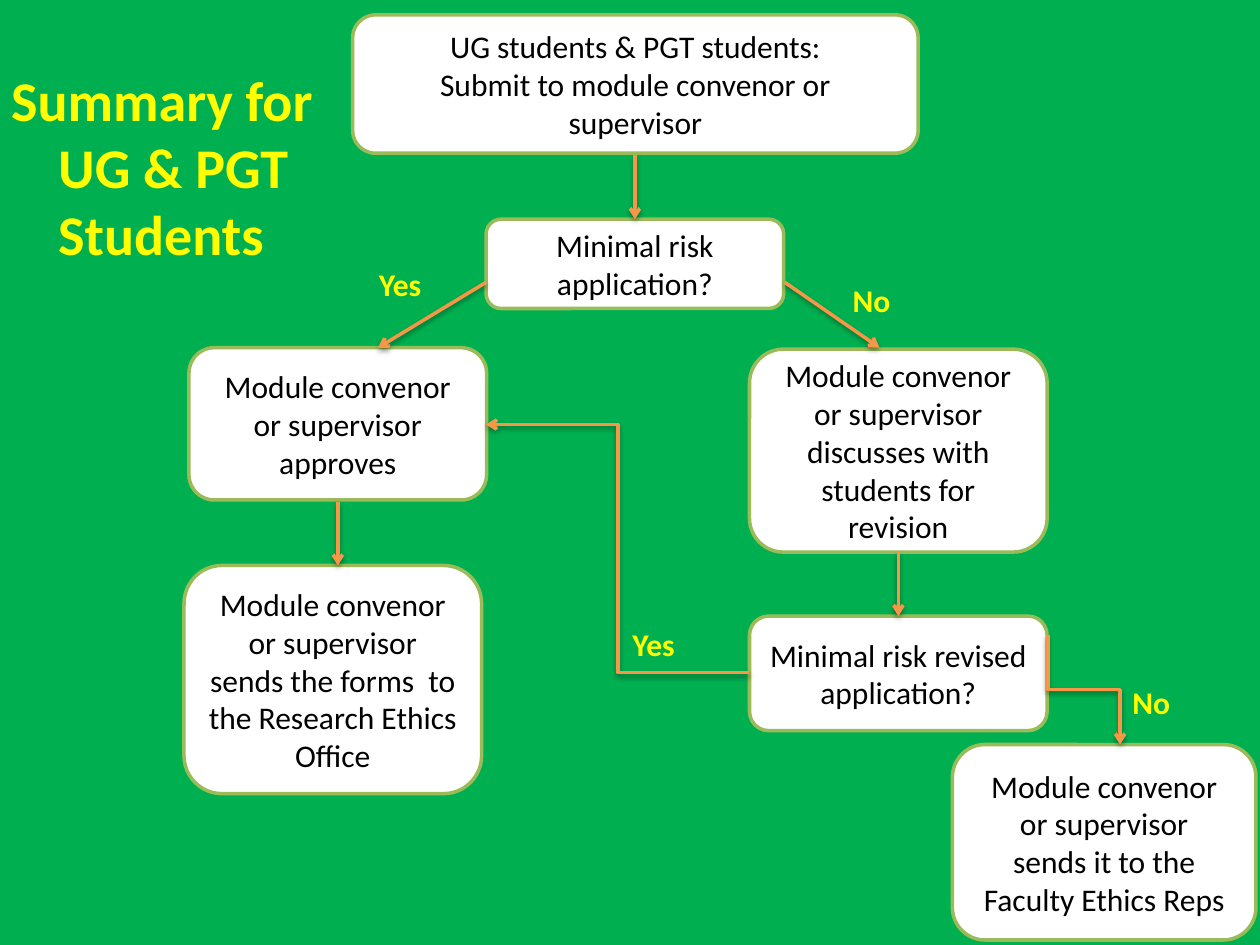
"""Build the ethics approval flowchart for UG and PGT students."""
from typing import NamedTuple

from lxml.etree import SubElement
from pptx import Presentation
from pptx.dml.color import RGBColor
from pptx.enum.shapes import MSO_CONNECTOR, MSO_SHAPE
from pptx.enum.text import MSO_ANCHOR, MSO_AUTO_SIZE, PP_ALIGN
from pptx.oxml.ns import qn
from pptx.util import Cm, Pt

GREEN = RGBColor(0x00, 0xB0, 0x50)
OLIVE = RGBColor(0x9B, 0xBB, 0x59)
ORANGE = RGBColor(0xF7, 0x96, 0x46)
YELLOW = RGBColor(0xFF, 0xFF, 0x00)
WHITE = RGBColor(0xFF, 0xFF, 0xFF)
BLACK = RGBColor(0x00, 0x00, 0x00)
FONT = "Calibri"
BOX_WIDTH = 6
LINE_WIDTH = Pt(2)


class Step(NamedTuple):
    text: str
    left: float
    top: float
    height: float
    width: float = BOX_WIDTH


class Arrow(NamedTuple):
    start: tuple[float, float]
    end: tuple[float, float]
    kind: MSO_CONNECTOR = MSO_CONNECTOR.STRAIGHT
    rotation: int = 0


class Answer(NamedTuple):
    text: str
    left: float
    top: float


STEPS = [
    Step("UG students & PGT students:\nSubmit to module convenor or supervisor", 7.11, 0.3, 2.79, 11.4),
    Step("Minimal risk application?", 9.8, 4.42, 1.8),
    Step("Module convenor or supervisor\nsends the forms  to the Research Ethics Office", 3.71, 11.4, 4.6),
    Step("Module convenor or supervisor approves", 3.81, 7.01, 3.07),
    Step("Module convenor or supervisor discusses with students for revision", 15.11, 7.04, 4.09),
    Step("Minimal risk revised application?", 15.11, 12.42, 2.31),
    Step("Module convenor or supervisor\nsends it to the Faculty Ethics Reps", 19.2, 15.01, 3.94, 6.12),
]
ARROWS = [
    Arrow((12.8, 3.12), (12.8, 4.42)),
    Arrow((9.8, 5.69), (7.62, 7.01)),
    Arrow((15.82, 5.69), (17.73, 7.01)),
    Arrow((6.81, 10.11), (6.81, 11.4)),
    Arrow((18.11, 11.13), (18.11, 12.42)),
    Arrow((15.11, 13.56), (9.8, 8.56), MSO_CONNECTOR.ELBOW),
    Arrow((22.96, 13.18), (20.75, 14.63), MSO_CONNECTOR.ELBOW, 270),
]
ANSWERS = [
    Answer("Yes", 7.39, 5.21),
    Answer("No", 22.58, 13.64),
    Answer("Yes", 12.5, 12.47),
    Answer("No", 16.94, 5.54),
]


def write_text(shape, text: str, size: int, color: RGBColor, bold: bool, alignment: PP_ALIGN) -> None:
    """Fill a shape with wrapped text in one style."""
    frame = shape.text_frame
    frame.text = text
    frame.word_wrap = True
    for paragraph in frame.paragraphs:
        paragraph.alignment = alignment
        for run in paragraph.runs:
            run.font.name = FONT
            run.font.size = Pt(size)
            run.font.bold = bold
            run.font.color.rgb = color


def add_title(slide) -> None:
    """Place the heading with its hanging indent."""
    title = slide.shapes.title
    title.left, title.top, title.width, title.height = Cm(-0.03), Cm(1.19), Cm(6.99), Cm(4.37)
    write_text(title, "Summary for \vUG & PGT Students", 32, YELLOW, True, PP_ALIGN.LEFT)
    title.text_frame.vertical_anchor = MSO_ANCHOR.TOP
    title.text_frame.auto_size = MSO_AUTO_SIZE.NONE
    properties = title.text_frame.paragraphs[0]._p.get_or_add_pPr()
    properties.set("marL", str(Cm(0.95)))
    properties.set("indent", str(Cm(-0.95)))


def add_step(slide, step: Step) -> None:
    """Draw one rounded box of the flowchart."""
    shape = slide.shapes.add_shape(
        MSO_SHAPE.ROUNDED_RECTANGLE, Cm(step.left), Cm(step.top), Cm(step.width), Cm(step.height)
    )
    shape.shadow.inherit = False
    shape.fill.solid()
    shape.fill.fore_color.rgb = WHITE
    shape.line.color.rgb = OLIVE
    shape.line.width = LINE_WIDTH
    write_text(shape, step.text, 18, BLACK, False, PP_ALIGN.CENTER)
    shape.text_frame.vertical_anchor = MSO_ANCHOR.MIDDLE


def add_arrow(slide, arrow: Arrow) -> None:
    """Draw one arrow with a soft shadow below it."""
    points = [Cm(value) for value in (*arrow.start, *arrow.end)]
    connector = slide.shapes.add_connector(arrow.kind, *points)
    connector.line.color.rgb = ORANGE
    connector.line.width = LINE_WIDTH
    properties = connector._element.spPr
    if arrow.rotation:
        properties.find(qn("a:xfrm")).set("rot", str(arrow.rotation * 60000))
    SubElement(properties.find(qn("a:ln")), qn("a:tailEnd"), type="arrow")
    effects = SubElement(properties, qn("a:effectLst"))
    shadow = SubElement(
        effects, qn("a:outerShdw"), blurRad=str(Pt(3.1)), dist=str(Pt(1.6)), dir="5400000", rotWithShape="0"
    )
    color = SubElement(shadow, qn("a:srgbClr"), val=str(BLACK))
    SubElement(color, qn("a:alpha"), val="38000")


def add_answer(slide, answer: Answer) -> None:
    """Label one branch of a decision."""
    box = slide.shapes.add_textbox(Cm(answer.left), Cm(answer.top), Cm(2.41), Cm(1.04))
    write_text(box, answer.text, 18, YELLOW, True, PP_ALIGN.LEFT)
    box.text_frame.auto_size = MSO_AUTO_SIZE.SHAPE_TO_FIT_TEXT


def main() -> None:
    """Create the slide and save it."""
    presentation = Presentation()
    presentation.slide_width, presentation.slide_height = Cm(25.4), Cm(19.05)
    slide = presentation.slides.add_slide(presentation.slide_layouts[5])
    slide.background.fill.solid()
    slide.background.fill.fore_color.rgb = GREEN
    add_title(slide)
    for step in STEPS:
        add_step(slide, step)
    for arrow in ARROWS:
        add_arrow(slide, arrow)
    for answer in ANSWERS:
        add_answer(slide, answer)
    presentation.save("out.pptx")


main()
